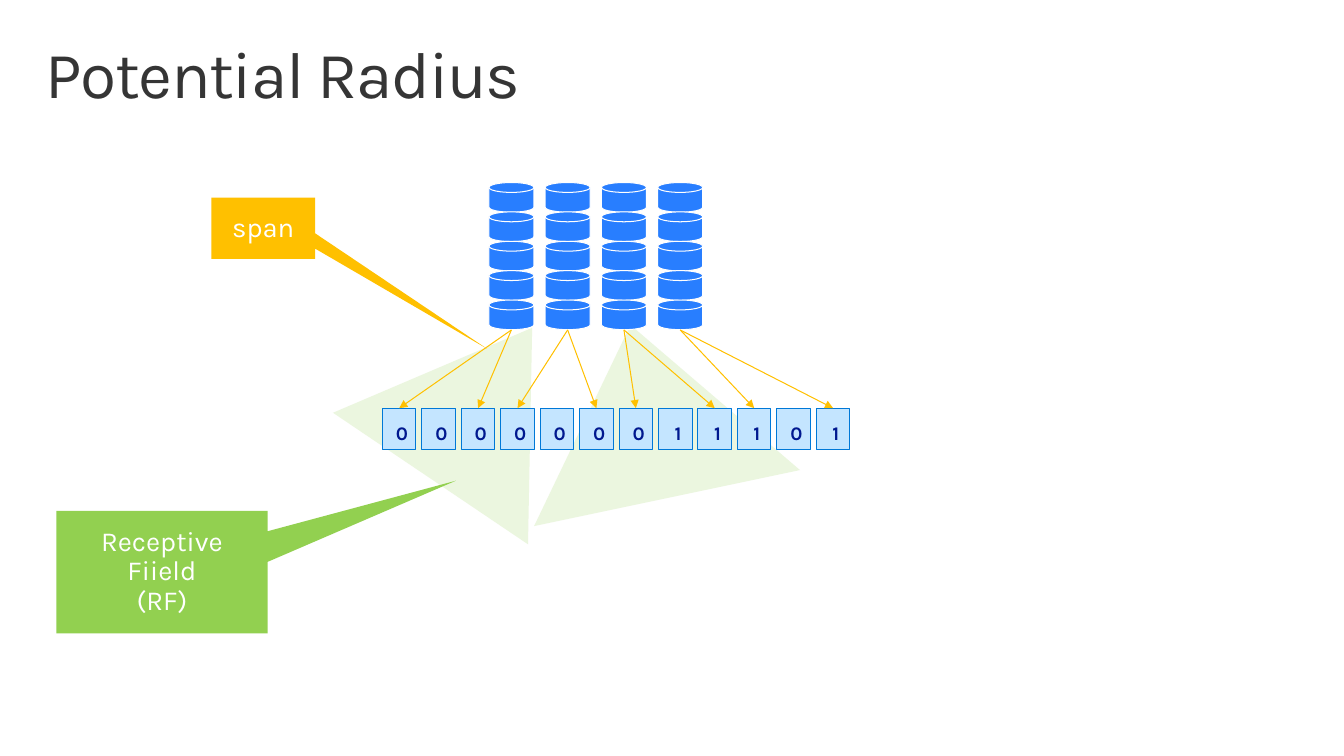
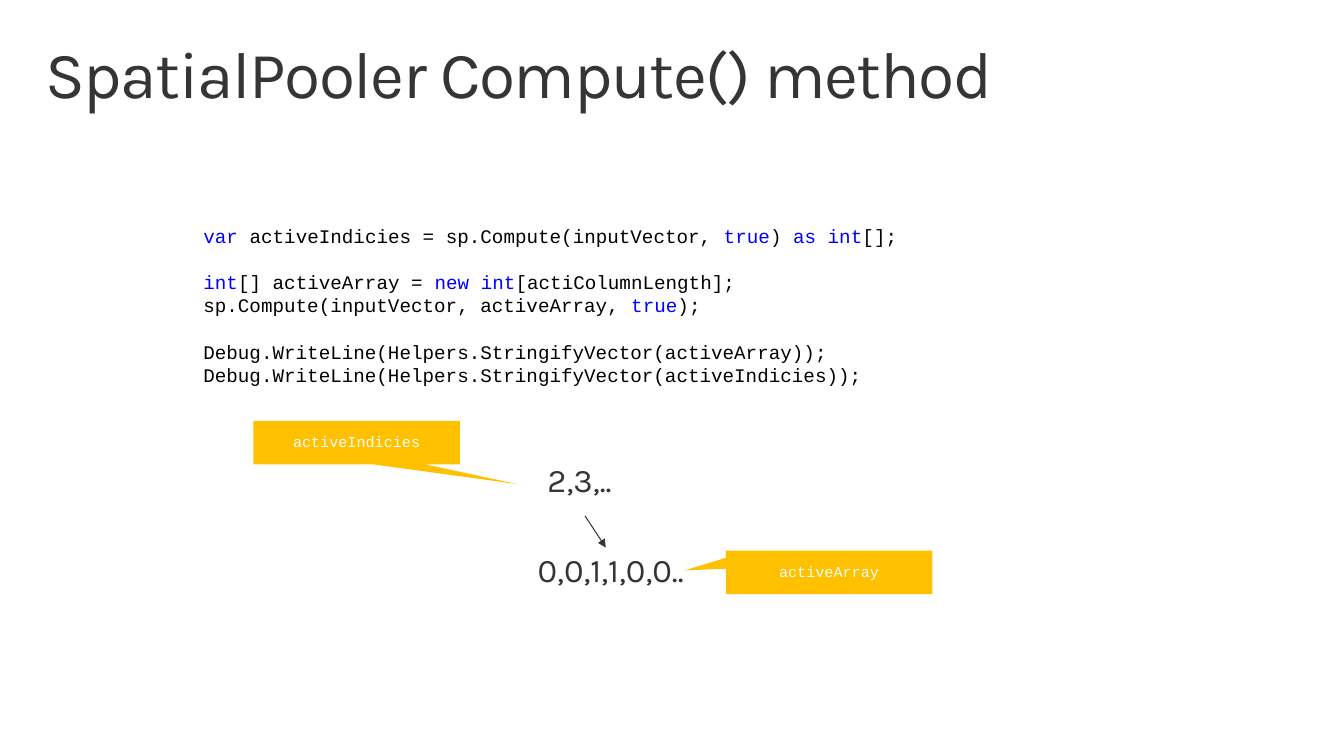
from lxml.etree import SubElement as Sub
from pptx import Presentation
from pptx.dml.color import RGBColor as Rgb
from pptx.enum.shapes import MSO_CONNECTOR as Link, MSO_SHAPE as Kind
from pptx.enum.text import MSO_ANCHOR as Anchor, PP_ALIGN as Align
from pptx.oxml.ns import qn
from pptx.util import Pt

HEX = {
    "dark": "353535", "white": "FFFFFF", "black": "000000", "key": "0000FF",
    "gold": "FFC000", "green": "92D050", "disk": "287EFF",
    "cell": "C4E5FF", "edge": "0078D7", "digit": "00188F",
}
SANS, MONO = "Karla", "Courier New"
ROOMY = (14.4, 11.5, 14.4, 11.5)


def tint(name):
    return Rgb.from_string(HEX[name])


class Deck:
    def __init__(self):
        self.prs = Presentation()
        self.prs.slide_width, self.prs.slide_height = Pt(979.2), Pt(550.8)
        self.page = None

    def slide(self, title):
        self.page = self.prs.slides.add_slide(self.prs.slide_layouts[6])
        para = self.text(title, (21.6, 23, 936, 72), 48, (11.5, 7.2, 11.5, 7.2))
        para.runs[0]._r.get_or_add_rPr().set("spc", "-100")

    def frame(self, shape, pad, anchor=Anchor.TOP):
        body = shape.text_frame
        body.word_wrap = True
        body.vertical_anchor = anchor
        (body.margin_left, body.margin_top,
         body.margin_right, body.margin_bottom) = map(Pt, pad)
        return body

    def style(self, para, size, color=None, face=SANS, bold=None):
        font = para.font
        font.name, font.size, font.bold = face, Pt(size), bold
        if color:
            font.color.rgb = tint(color)

    def text(self, words, box, size, pad=ROOMY):
        shape = self.page.shapes.add_textbox(*map(Pt, box))
        para = self.frame(shape, pad).paragraphs[0]
        para.text = words
        para.line_spacing = 0.9
        self.style(para, size, "dark")
        return para

    def shape(self, kind, box, fill, line=None):
        shape = self.page.shapes.add_shape(kind, *map(Pt, box))
        shape.shadow.inherit = False
        shape.fill.solid()
        shape.fill.fore_color.rgb = tint(fill)
        if line:
            shape.line.color.rgb = tint(line)
            shape.line.width = Pt(0.75)
        else:
            shape.line.fill.background()
        return shape

    def label(self, shape, words, size, color="white", face=SANS,
              bold=None, pad=ROOMY):
        """Write centred text in a shape, one paragraph per line."""
        body = self.frame(shape, pad, Anchor.MIDDLE)
        body.text = words
        for para in body.paragraphs:
            para.alignment = Align.CENTER
            para.line_spacing = 0.9
            self.style(para, size, color, face, bold)

    def callout(self, words, box, tip, size, fill="gold", face=SANS):
        """Tip is the offset from the centre, in widths and heights."""
        shape = self.shape(Kind.RECTANGULAR_CALLOUT, box, fill)
        for i, part in enumerate(tip):
            shape.adjustments[i] = part
        self.label(shape, words, size, face=face)

    def field(self, box, turn):
        """Draw a pale receptive field."""
        shape = self.shape(Kind.ISOSCELES_TRIANGLE, box, "green")
        shape.rotation = turn
        color = shape._element.spPr.find(".//" + qn("a:srgbClr"))
        Sub(color, qn("a:alpha"), val="18000")

    def arrow(self, start, end, color):
        line = self.page.shapes.add_connector(
            Link.STRAIGHT, *map(Pt, (*start, *end)))
        line.line.color.rgb = tint(color)
        line.line.width = Pt(0.75)
        Sub(line.line._get_or_add_ln(), qn("a:tailEnd"), type="triangle")
        Sub(line._element.spPr, qn("a:effectLst"))

    def code(self, lines, box, size, pitch):
        """Show code; keywords stand between bars, an empty line is a gap."""
        shape = self.page.shapes.add_textbox(*map(Pt, box))
        body = self.frame(shape, (7.2, 3.6, 7.2, 3.6))
        para, gap = None, 0
        for line in lines:
            if not line:
                gap = pitch
                continue
            para = body.add_paragraph() if para else body.paragraphs[0]
            para.line_spacing = Pt(pitch)
            if gap:
                para.space_before = Pt(gap)
            gap = 0
            self.style(para, size, face=MONO)
            for i, part in enumerate(line.split("|")):
                if part:
                    run = para.add_run()
                    run.text = part
                    run.font.color.rgb = tint("key" if i % 2 else "black")


def radius(deck):
    deck.slide("Potential Radius")
    deck.field((265, 227.5, 171.4, 132.5), 34)
    deck.field((373.7, 235.4, 198, 128.9), 348.1)

    left, top, step = 278.6, 297.4, 28.74
    wide, high = 24.5, 30.2
    for i, digit in enumerate("000000011101"):
        cell = deck.shape(Kind.RECTANGLE, (left + i * step, top, wide, high),
                          "cell", "edge")
        deck.label(cell, digit, 14, "digit", bold=True, pad=(4, 8, 0, 0))

    for col in range(4):
        x = 356.2 + 41 * col
        for row in range(5):
            deck.shape(Kind.FLOWCHART_MAGNETIC_DISK,
                       (x, 133 + 21.4 * row, 32.8, 21.6), "disk", "white")
        for i in (3 * col, 3 * col + 2):
            deck.arrow((x + 16.4, 240.4),
                       (left + i * step + wide / 2, top), "gold")

    deck.callout("span", (154, 144, 75.6, 44.6), (2.154, 1.967), 20)
    deck.callout("Receptive Fiield\n(RF)", (41, 372.2, 154, 89.3),
                 (1.391, -0.746), 20, "green")


def method(deck):
    deck.slide("SpatialPooler Compute() method")
    deck.code([
        "|var |activeIndicies = sp.Compute(inputVector, |true|) |as int|[];",
        "",
        "|int|[] activeArray = |new int|[actiColumnLength];",
        "sp.Compute(inputVector, activeArray, |true|);",
        "",
        "Debug.WriteLine(Helpers.StringifyVector(activeArray));",
        "Debug.WriteLine(Helpers.StringifyVector(activeIndicies));",
    ], (141.1, 160, 820, 126), 14, 16.8)
    deck.text("0,0,1,1,0,0..", (377.3, 392.4, 288.7, 49.7), 24)
    deck.text("2,3,..", (384.5, 326.2, 288.7, 49.7), 24)
    deck.arrow((426.2, 375.8), (441.4, 398.9), "dark")
    for word, x, y, tip in (
        ("activeIndicies", 184.6, 306.7, (0.776, 0.95)),
        ("activeArray", 528.8, 401.2, (-0.7, -0.044)),
    ):
        deck.callout(word, (x, y, 150.5, 31.7), tip, 11, face=MONO)


def main():
    deck = Deck()
    radius(deck)
    method(deck)
    deck.prs.save("out.pptx")


if __name__ == "__main__":
    main()
